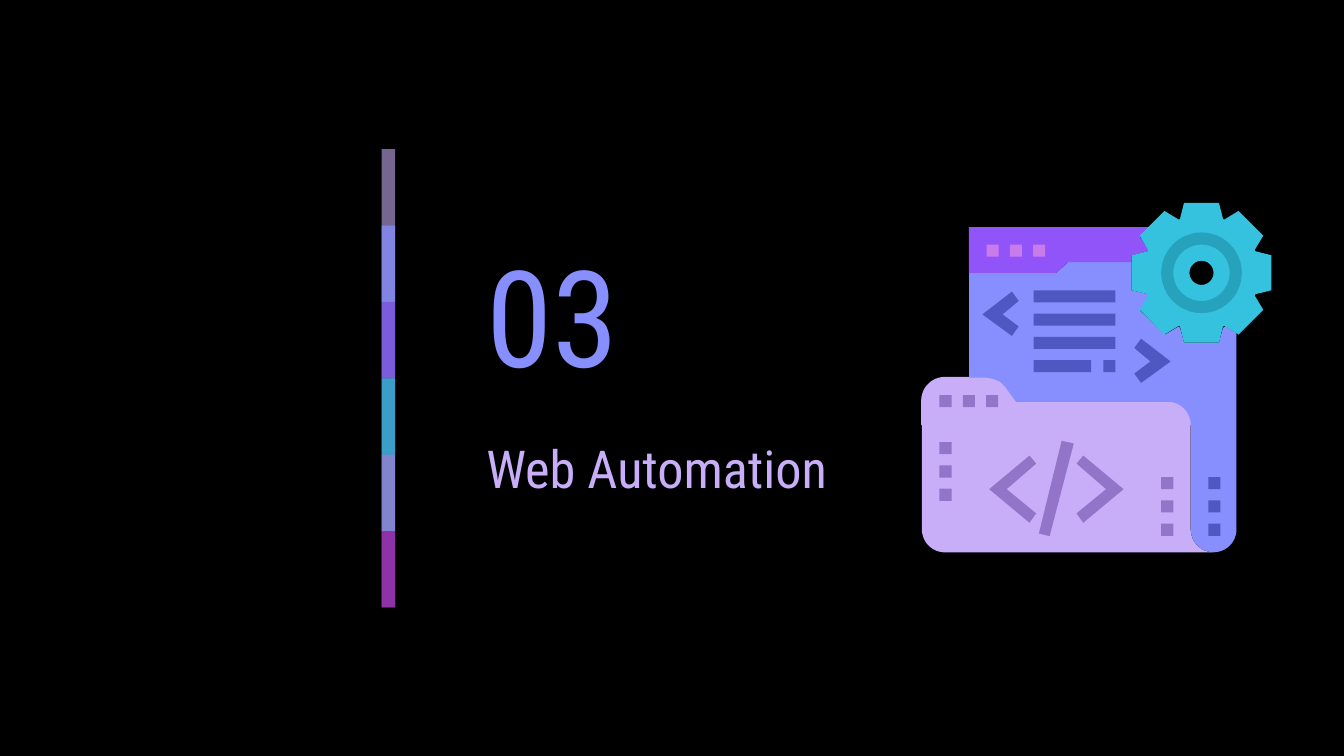
import math

import lxml.etree
import pptx
import pptx.dml.color
import pptx.enum.shapes
import pptx.enum.text
import pptx.oxml.ns
import pptx.util

Inches = pptx.util.Inches
RGBColor = pptx.dml.color.RGBColor
KIND = pptx.enum.shapes.MSO_SHAPE

BLACK = RGBColor(0x00, 0x00, 0x00)
LILAC = RGBColor(0xC8, 0xAE, 0xF8)
BLUE = RGBColor(0x87, 0x8F, 0xFF)
VIOLET = RGBColor(0x91, 0x54, 0xF8)
CYAN = RGBColor(0x35, 0xC2, 0xDF)
TEAL = RGBColor(0x26, 0xA2, 0xBC)
PINK = RGBColor(0xCA, 0x7B, 0xEB)
MAGENTA = RGBColor(0x97, 0x2C, 0xB4)
PURPLE = RGBColor(0x92, 0x75, 0xC8)
NAVY = RGBColor(0x4F, 0x57, 0xC3)

DOT = 0.09
PITCH = 0.52 / 3


def paint(shape, color, alpha=None):
    """Fill a shape without line or shadow; alpha is opacity in percent."""
    shape.shadow.inherit = False
    shape.fill.solid()
    shape.fill.fore_color.rgb = color
    shape.line.fill.background()
    if alpha is not None:
        tag = pptx.oxml.ns.qn("a:srgbClr")
        clr = next(shape.fill._xPr.iter(tag))
        node = lxml.etree.SubElement(clr, pptx.oxml.ns.qn("a:alpha"))
        node.set("val", str(alpha * 1000))
    return shape


def preset(shapes, kind, box, color, alpha=None):
    shape = shapes.add_shape(kind, *[Inches(v) for v in box])
    return paint(shape, color, alpha)


def outline(shapes, origin, color, *rings):
    """Draw closed rings of points, in inches from the origin."""
    left, top = origin
    pen = None
    for ring in rings:
        pts = [((left + x) * 1000, (top + y) * 1000) for x, y in ring]
        if pen is None:
            pen = shapes.build_freeform(*pts[0], scale=Inches(1) / 1000)
        else:
            pen.move_to(*pts[0])
        pen.add_line_segments(pts[1:], close=True)
    return paint(pen.convert_to_shape(), color)


def arc(x, y, r, start, end):
    """Points on a circle, in degrees clockwise from the right."""
    count = max(2, round(abs(end - start) / 7.5))
    turns = [math.radians(start + (end - start) * i / count) for i in range(count + 1)]
    return [(x + r * math.cos(t), y + r * math.sin(t)) for t in turns]


def title(slide, box, text, color, size):
    frame = slide.shapes.add_textbox(*[Inches(v) for v in box]).text_frame
    look = {"word_wrap": True, "vertical_anchor": pptx.enum.text.MSO_ANCHOR.MIDDLE}
    for side in ("left", "top", "right", "bottom"):
        look[f"margin_{side}"] = Inches(0.1)
    for key, value in look.items():
        setattr(frame, key, value)
    run = frame.paragraphs[0].add_run()
    run.text = text
    for key, value in {"name": "Roboto Condensed", "size": pptx.util.Pt(size)}.items():
        setattr(run.font, key, value)
    run.font.color.rgb = color


def stripe(slide, box):
    """Stack see-through bars, each lapping half of the one above."""
    left, top, width, height = box
    shapes = slide.shapes.add_group_shape().shapes
    bars = [(LILAC, 59), (BLUE, 74), (VIOLET, 53), (CYAN, 76), (PINK, 56), (MAGENTA, 74)]
    step = height / len(bars)
    for i, (color, alpha) in enumerate(bars):
        tall = min(2 * step, height - i * step)
        preset(shapes, KIND.RECTANGLE, (left, top + i * step, width, tall), color, alpha)


def page(shapes, origin):
    """Draw the folder, then the curled page and its header."""
    bend = [(0.48, 1.3), (0.53, 1.31), (0.58, 1.33), (0.62, 1.37), (0.7, 1.48)]
    fold = arc(1.83, 1.65, 0.17, -90, 0)
    curl = arc(2.17, 2.43, 0.17, 180, 90)
    body = [(0, 1.65), *arc(0.17, 2.43, 0.17, 180, 90), *curl[::-1], (2, 1.65)]
    outline(shapes, origin, LILAC, body)
    flap = [*arc(0.17, 1.47, 0.17, 270, 180), (0, 1.65), *fold[::-1], *bend[::-1]]
    tab = outline(shapes, origin, LILAC, flap)
    tab.line.color.rgb = LILAC
    tab.line.width = pptx.util.Pt(0.75)

    notch = [(2.34, 0.97), (2.26, 0.92), (2.24, 0.93), (2.21, 1.04), (1.95, 1.04),
             (1.92, 0.93), (1.91, 0.92), (1.81, 0.98), (1.62, 0.8), (1.69, 0.7),
             (1.68, 0.68), (1.56, 0.65), (1.56, 0.44)]
    sheet = [(1.09, 0.44), (1, 0.52), (0.35, 0.52), (0.35, 1.3), *bend, *fold,
             *curl, *arc(2.17, 2.43, 0.17, 90, 0), *notch]
    outline(shapes, origin, BLUE, sheet)
    head = [(0.35, 0.18), (0.35, 0.52), (1, 0.52), (1.09, 0.44), (1.56, 0.44),
            (1.56, 0.39), (1.68, 0.36), (1.69, 0.35), (1.62, 0.25), (1.69, 0.18)]
    outline(shapes, origin, VIOLET, head)


def gear(shapes, x, y):
    """Draw an eight-toothed gear about its centre."""
    tooth = [(-0.16, -0.4), (-0.13, -0.52), (0.13, -0.52), (0.16, -0.4)]
    rim = []
    for i in range(8):
        c, s = math.cos(i * math.pi / 4), math.sin(i * math.pi / 4)
        rim += [(a * c - b * s, a * s + b * c) for a, b in tooth]
    outline(shapes, (x, y), CYAN, rim, arc(0, 0, 0.26, 360, 0))
    for outer, inner, color in [(0.26, 0.09, CYAN), (0.3, 0.21, TEAL)]:
        box = (x - outer, y - outer, 2 * outer, 2 * outer)
        ring = preset(shapes, KIND.DONUT, box, color)
        ring.adjustments[0] = (outer - inner) / (2 * outer)


def marks(shapes, origin):
    """Draw the dots, text lines and code signs."""
    left, top = origin
    rows = [(0.48, 0.31, 1, 0, PINK), (0.13, 1.43, 1, 0, PURPLE),
            (0.13, 1.78, 0, 1, PURPLE), (1.78, 2.04, 0, 1, PURPLE),
            (2.13, 2.04, 0, 1, NAVY)]
    for x, y, across, down, color in rows:
        for i in range(3):
            spot = (left + x + i * across * PITCH, top + y + i * down * PITCH)
            preset(shapes, KIND.RECTANGLE, (*spot, DOT, DOT), color)

    lines = [(0.83, 0, 0.61), (0.83, 1, 0.61), (0.83, 2, 0.61), (0.83, 3, 0.43), (1.35, 3, DOT)]
    for x, row, width in lines:
        box = (left + x, top + 0.65 + row * PITCH, width, DOT)
        preset(shapes, KIND.RECTANGLE, box, NAVY)

    small = [(0.22, 0), (0, 0.17), (0.22, 0.33), (0.27, 0.26), (0.15, 0.17), (0.27, 0.07)]
    large = [(0.3, 0), (0, 0.25), (0.3, 0.5), (0.35, 0.43), (0.13, 0.25), (0.35, 0.06)]
    signs = [(small, 0.45, 0.66, 1, NAVY), (small, 1.85, 1.01, -1, NAVY),
             (large, 1.5, 1.88, -1, PURPLE), (large, 0.5, 1.88, 1, PURPLE)]
    for sign, x, y, way, color in signs:
        outline(shapes, (left + x, top + y), color, [(way * a, b) for a, b in sign])
    outline(shapes, origin, PURPLE, [(1.04, 1.77), (0.87, 2.46), (0.95, 2.48), (1.13, 1.79)])


def icon(slide, left, top):
    shapes = slide.shapes.add_group_shape().shapes
    page(shapes, (left, top))
    gear(shapes, left + 2.08, top + 0.52)
    marks(shapes, (left, top))


def main():
    deck = pptx.Presentation()
    deck.slide_width, deck.slide_height = Inches(10), Inches(10 * 9 / 16)
    slide = deck.slides.add_slide(deck.slide_layouts[6])
    slide.background.fill.solid()
    slide.background.fill.fore_color.rgb = BLACK
    title(slide, (3.52, 1.66, 1.75, 1.35), "03", BLUE, 72)
    title(slide, (3.52, 3, 2.87, 0.96), "Web Automation", LILAC, 28)
    icon(slide, 6.86, 1.51)
    stripe(slide, (2.84, 1.11, 0.1, 3.41))
    deck.save("out.pptx")


if __name__ == "__main__":
    main()
